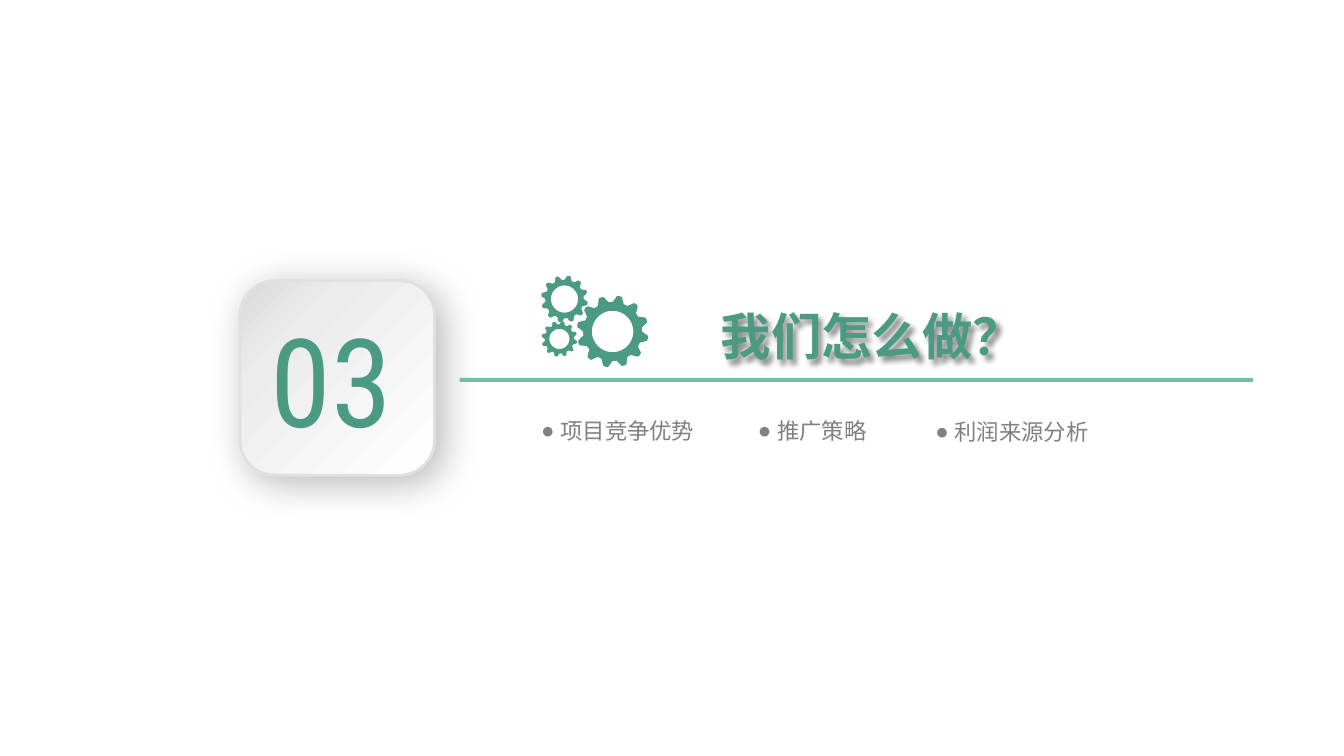
"""Build the section divider slide for part 03."""
import copy
import math

from pptx import Presentation
from pptx import util as u
from pptx.dml import color
from pptx.enum import shapes, text
from pptx.oxml import ns, parse_xml

COLORS = {
    "green": "4A9B82", "rule": "75BDA7", "gray": "808080", "border": "E0E0E0",
    "white": "FFFFFF", "light": "ECECEC", "dark": "D9D9D9", "shadow": "000000",
}
CJK_FONT = "Noto Sans CJK SC"
TOOTH = [(-11, 0.82), (-7.5, 0.89), (-4, 0.99), (0, 1), (4, 0.99), (8, 0.89), (11, 0.82)]
Pt = u.Pt


def style_text(shape, size, font_name, color_name, bold=False):
    """Format the first paragraph of a shape and return it."""
    paragraph = shape.text_frame.paragraphs[0]
    font = paragraph.runs[0].font
    font.size, font.name, font.bold = Pt(size), font_name, bold
    font.color.rgb = color.RGBColor.from_string(COLORS[color_name])
    east_asian = parse_xml(f'<a:ea {ns.nsdecls("a")} typeface="{font_name}"/>')
    font._element.find(ns.qn("a:latin")).addnext(east_asian)
    return paragraph


def add_shadow(shape, blur, distance, opacity):
    """Cast a soft shadow towards the lower right."""
    shape.shadow.inherit = False
    shape._element.spPr.find(ns.qn("a:effectLst")).append(parse_xml(
        f'<a:outerShdw {ns.nsdecls("a")} blurRad="{Pt(blur)}" dist="{Pt(distance)}" '
        f'dir="2700000" algn="ctr" rotWithShape="0"><a:srgbClr val="{COLORS["shadow"]}">'
        f'<a:alpha val="{opacity * 1000}"/></a:srgbClr></a:outerShdw>'))


presentation = Presentation()
presentation.slide_width, presentation.slide_height = Pt(960), Pt(540)
slide = presentation.slides.add_slide(presentation.slide_layouts[4])
title, *topics, spare = slide.placeholders
spare._element.getparent().remove(spare._element)

card = slide.shapes.add_shape(
    shapes.MSO_SHAPE.ROUNDED_RECTANGLE, Pt(171.4), Pt(200.4), Pt(139), Pt(139))
card.rotation = 180
card.adjustments[0] = 0.18
card.fill.gradient()
card.fill.gradient_angle = 315
stop_list = card._element.spPr.find(".//" + ns.qn("a:gsLst"))
stop_list.append(copy.deepcopy(stop_list[-1]))
card_stops = [(0, "white"), (0.73, "light"), (1, "dark")]
for stop, (position, name) in zip(card.fill.gradient_stops, card_stops):
    stop.position = position
    stop.color.rgb = color.RGBColor.from_string(COLORS[name])
card.line.color.rgb = color.RGBColor.from_string(COLORS["border"])
card.line.width = Pt(2)
add_shadow(card, 28, 7, 28)

number = slide.shapes.add_textbox(Pt(182.2), Pt(213.8), Pt(109.4), Pt(113.8))
number.text_frame.text = "03"
number.text_frame.word_wrap = False
style_text(number, 88, "Roboto Condensed", "green").alignment = text.PP_ALIGN.CENTER

rule = slide.shapes.add_shape(
    shapes.MSO_SHAPE.RECTANGLE, Pt(328.3), Pt(270), Pt(566.6), Pt(2.9))
rule.shadow.inherit = False
rule.fill.solid()
rule.fill.fore_color.rgb = color.RGBColor.from_string(COLORS["rule"])
rule.line.fill.background()

title.left, title.top, title.width, title.height = Pt(507.6), Pt(214.6), Pt(232.6), Pt(51)
title.text_frame.text = "我们怎么做？"
title.text_frame.word_wrap = False
title.text_frame.auto_size = text.MSO_AUTO_SIZE.NONE
title.text_frame.vertical_anchor = text.MSO_ANCHOR.TOP
style_text(title, 36, CJK_FONT, "green", bold=True).alignment = text.PP_ALIGN.LEFT
add_shadow(title, 4, 4, 45)

topic_items = [("项目竞争优势", 386.6, 298), ("推广策略", 541.4, 298), ("利润来源分析", 668.2, 298.8)]
for topic, (label, left, top) in zip(topics, topic_items):
    topic.left, topic.top, topic.width, topic.height = Pt(left), Pt(top), Pt(126.7), Pt(19.4)
    frame = topic.text_frame
    frame.text = label
    frame.margin_left = frame.margin_top = frame.margin_right = frame.margin_bottom = 0
    frame.word_wrap = True
    frame.auto_size = text.MSO_AUTO_SIZE.NONE
    frame.vertical_anchor = text.MSO_ANCHOR.TOP
    paragraph = style_text(topic, 16, CJK_FONT, "gray")
    paragraph.level = 1
    paragraph.space_before = Pt(0)
    properties = paragraph._p.get_or_add_pPr()
    properties.set("marL", str(Pt(13.7)))
    properties.set("indent", str(Pt(-13.7)))
    properties.append(parse_xml(f'<a:buFont {ns.nsdecls("a")} typeface="Arial"/>'))
    properties.append(parse_xml(f'<a:buChar {ns.nsdecls("a")} char="●"/>'))

gears = slide.shapes.add_group_shape()
for center_x, center_y, radius, hole_radius in [
        (437.6, 236.8, 25.7, 14.8), (403.2, 213.6, 16.8, 9.7), (399.6, 242.1, 12.8, 7.2)]:
    rim = [(30 * tooth + 11 + offset, radius * factor)
           for tooth in range(12) for offset, factor in TOOTH]
    hole = [(-angle, hole_radius) for angle in range(0, 360, 6)]
    outlines = [
        [(Pt(center_x + distance * math.cos(math.radians(angle))),
          Pt(center_y + distance * math.sin(math.radians(angle))))
         for angle, distance in ring]
        for ring in (rim, hole)]
    builder = gears.shapes.build_freeform(*outlines[0][0])
    builder.add_line_segments(outlines[0][1:], close=True)
    builder.move_to(*outlines[1][0])
    builder.add_line_segments(outlines[1][1:], close=True)
    gear = builder.convert_to_shape()
    gear.shadow.inherit = False
    gear.fill.solid()
    gear.fill.fore_color.rgb = color.RGBColor.from_string(COLORS["green"])
    gear.line.fill.background()

presentation.save("out.pptx")
